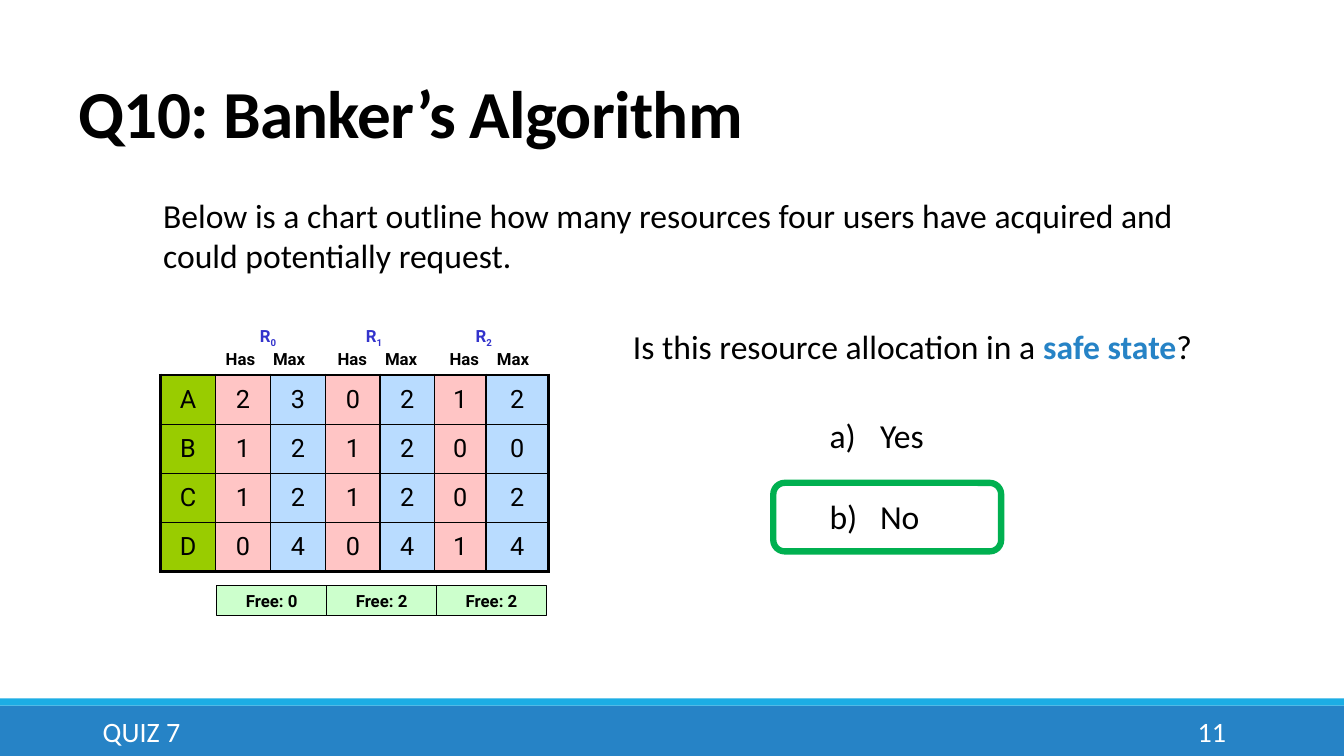
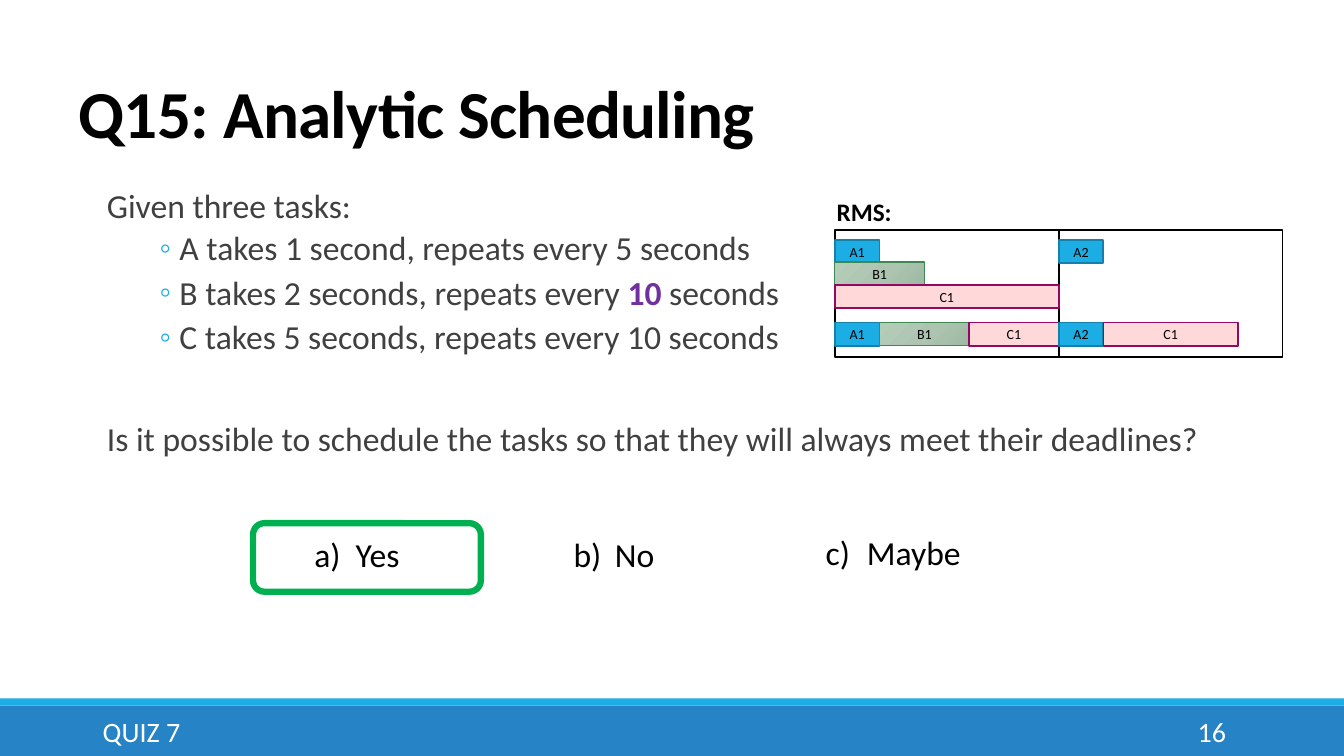
from dataclasses import dataclass

from pptx import Presentation
from pptx.dml.color import RGBColor
from pptx.enum.shapes import MSO_SHAPE
from pptx.enum.text import MSO_ANCHOR, MSO_AUTO_SIZE, PP_ALIGN
from pptx.oxml import parse_xml
from pptx.oxml.ns import nsdecls, qn
from pptx.oxml.xmlchemy import OxmlElement
from pptx.util import Inches, Pt


@dataclass(frozen=True)
class Theme:
    font: str = "Calibri"
    data_font: str = "Roboto"
    black: str = "000000"
    white: str = "FFFFFF"
    body: str = "404040"
    blue: str = "2683C6"
    cyan: str = "1CADE4"
    purple: str = "7030A0"
    answer: str = "00B050"
    resource: str = "3333CC"
    user: str = "99CC00"
    has: str = "FFC5C5"
    max: str = "B9DCFF"
    free: str = "CCFFCC"
    title_size: int = 48
    text_size: int = 24
    footer_size: int = 20
    data_size: int = 18
    label_size: int = 12
    job_size: int = 10


THEME = Theme()

# Task letter: fill (None for the gradient), outline, outline width
TASK_STYLES = {
    "A": (THEME.cyan, "1580A9", 1.25),
    "B": (None, "3E8853", 1),
    "C": ("FFD9D9", "920864", 1.25),
}
TASK_GRADIENT = [(0, "9DBAA3"), (45, "ADC4B1"), (100, "B4CDB9")]

WINDOW = 2.22  # width of one five-second window
SECOND = WINDOW / 5


def rgb(code):
    return RGBColor.from_string(code)


# Text
def write(para, *spans, size=THEME.text_size, color=THEME.black,
          font=THEME.font, bold=False, align=None):
    """Fill a paragraph; a span is text, or text with its own colour in bold."""
    para.font.name, para.font.size, para.font.bold = font, Pt(size), bold
    para.font.color.rgb = rgb(color)
    if align is not None:
        para.alignment = align
    for span in spans:
        run = para.add_run()
        if isinstance(span, str):
            run.text = span
        else:
            run.text, accent = span
            run.font.bold = True
            run.font.color.rgb = rgb(accent)


def add_text(page, left, top, width, height, *spans,
             anchor=MSO_ANCHOR.TOP, **style):
    box = page.shapes.add_textbox(
        Inches(left), Inches(top), Inches(width), Inches(height))
    frame = box.text_frame
    frame.word_wrap, frame.vertical_anchor = True, anchor
    if spans:
        write(frame.paragraphs[0], *spans, **style)
    return box


def set_bullet(para, margin, indent, tag, color=None, **attributes):
    props = para._p.get_or_add_pPr()
    props.set("marL", str(Inches(margin)))
    props.set("indent", str(Inches(indent)))
    if color:
        bullet_color = OxmlElement("a:buClr")
        value = OxmlElement("a:srgbClr")
        value.set("val", color)
        bullet_color.append(value)
        props.append(bullet_color)
    bullet = OxmlElement(tag)
    for name, setting in attributes.items():
        bullet.set(name, setting)
    props.append(bullet)


def add_options(page, left, top, options, start=1, indent=0.5):
    frame = add_text(page, left, top, 1.8, 0.5).text_frame
    for index, option in enumerate(options):
        para = frame.add_paragraph() if index else frame.paragraphs[0]
        set_bullet(para, indent, -indent, "a:buAutoNum",
                   type="alphaLcParenR", startAt=str(start))
        if index:
            para.space_before = Pt(29)
        write(para, option)


# Shapes
def add_box(page, left, top, width, height, fill=None, line=None,
            line_width=1.0, kind=MSO_SHAPE.RECTANGLE):
    box = page.shapes.add_shape(
        kind, Inches(left), Inches(top), Inches(width), Inches(height))
    box.shadow.inherit = False
    if fill:
        box.fill.solid()
        box.fill.fore_color.rgb = rgb(fill)
    else:
        box.fill.background()
    if line:
        box.line.color.rgb = rgb(line)
        box.line.width = Pt(line_width)
    else:
        box.line.fill.background()
    return box


def label_box(box, text, **style):
    frame = box.text_frame
    frame.margin_left = frame.margin_right = 0
    frame.margin_top = frame.margin_bottom = 0
    frame.vertical_anchor = MSO_ANCHOR.MIDDLE
    write(frame.paragraphs[0], text, align=PP_ALIGN.CENTER, **style)


def mark_answer(page, left, top):
    add_box(page, left, top, 2.26, 0.68, line=THEME.answer, line_width=4.5,
            kind=MSO_SHAPE.ROUNDED_RECTANGLE)


def set_radial_fill(box, stops):
    marks = "".join(
        f'<a:gs pos="{place * 1000}"><a:srgbClr val="{color}"/></a:gs>'
        for place, color in stops)
    gradient = parse_xml(
        f'<a:gradFill {nsdecls("a")} rotWithShape="1"><a:gsLst>{marks}</a:gsLst>'
        '<a:path path="circle"><a:fillToRect l="100000" t="100000"/></a:path>'
        '</a:gradFill>')
    props = box.element.spPr
    props.replace(props.find(qn("a:noFill")), gradient)


# Shared page parts
def add_master_bands(deck, page):
    """Draw the bottom bands and hand them to the slide master."""
    bands = [(7, 0.5, THEME.blue), (6.93, 0.07, THEME.cyan)]
    for number, (top, height, fill) in enumerate(bands, start=21):
        band = add_box(page, 0, top, 13.33, height, fill)
        band.element.nvSpPr.cNvPr.set("id", str(number))
        deck.slide_master.shapes.element.append(band.element)


def add_page(deck, layout, title, number):
    page = deck.slides.add_slide(deck.slide_layouts.get_by_name(layout))
    heading = page.shapes.title
    heading.left, heading.top = Inches(0.68), Inches(0.71)
    heading.width, heading.height = Inches(11), Inches(0.85)
    frame = heading.text_frame
    frame.auto_size = MSO_AUTO_SIZE.NONE
    frame.vertical_anchor = MSO_ANCHOR.BOTTOM
    para = frame.paragraphs[0]
    para.line_spacing = 0.85
    write(para, title, size=THEME.title_size, bold=True, align=PP_ALIGN.LEFT)
    para.runs[0]._r.get_or_add_rPr().set("spc", "-50")

    footer = dict(size=THEME.footer_size, color=THEME.white,
                  anchor=MSO_ANCHOR.MIDDLE)
    add_text(page, 0.92, 7.06, 8.39, 0.4, "QUIZ 7", **footer)
    add_text(page, 10.83, 7.06, 1.43, 0.4, str(number),
             align=PP_ALIGN.RIGHT, **footer)
    return page


# Resource table
def set_borders(cell, widths):
    props = cell._tc.get_or_add_tcPr()
    for index, (side, width) in enumerate(widths.items()):
        props.insert(index, parse_xml(
            f'<a:ln{side} {nsdecls("a")} w="{Pt(width)}"><a:solidFill>'
            f'<a:srgbClr val="{THEME.black}"/></a:solidFill></a:ln{side}>'))


def add_resource_table(page, rows):
    widths = [0.55, 0.54, 0.55, 0.54, 0.54, 0.51, 0.62]
    fills = [THEME.user] + [THEME.has, THEME.max] * 3
    table = page.shapes.add_table(
        len(rows), len(widths), Inches(1.59), Inches(3.72),
        Inches(sum(widths)), Inches(1.95)).table
    table.first_row = table.horz_banding = False
    for column, width in zip(table.columns, widths):
        column.width = Inches(width)

    last_row, last_column = len(rows) - 1, len(widths) - 1
    for y, row in enumerate(rows):
        for x, value in enumerate(row):
            cell = table.cell(y, x)
            cell.vertical_anchor = MSO_ANCHOR.MIDDLE
            cell.fill.solid()
            cell.fill.fore_color.rgb = rgb(fills[x])
            write(cell.text_frame.paragraphs[0], value, size=THEME.data_size,
                  font=THEME.data_font, align=PP_ALIGN.CENTER)
            outer = {"L": x == 0, "R": x == last_column,
                     "T": y == 0, "B": y == last_row}
            set_borders(cell, {side: 2.25 if edge else 1
                               for side, edge in outer.items()})


def add_resource_labels(page, free):
    label = dict(size=THEME.label_size, font=THEME.data_font, bold=True)
    for index, (name_left, amount) in enumerate(zip([2.48, 3.53, 4.62], free)):
        has_left = 2.14 + 1.11 * index
        add_text(page, has_left, 3.41, 0.72, 0.3, "Has", **label)
        add_text(page, has_left + 0.47, 3.41, 0.72, 0.3, "Max", **label)
        name = add_text(page, name_left, 3.18, 0.72, 0.3, "R", str(index),
                        color=THEME.resource, **label)
        subscript = name.text_frame.paragraphs[0].runs[1]
        subscript._r.get_or_add_rPr().set("baseline", "-25000")
        box = add_box(page, 2.15 + 1.09 * index, 5.81, 1.09, 0.3,
                      THEME.free, THEME.black)
        label_box(box, f"Free: {amount}", **label)


# Task list and schedule
def add_task_list(page, tasks, question):
    body = page.placeholders[1]
    body.left, body.top = Inches(0.96), Inches(1.83)
    body.width, body.height = Inches(12.37), Inches(4.59)
    frame = body.text_frame
    frame.auto_size = MSO_AUTO_SIZE.NONE
    frame.margin_left = frame.margin_right = 0

    lines = [(0, 0, 2, ["Given three tasks:"])]
    lines += [(3, 2, 4, spans) for spans in tasks]
    lines.append((0, 43, 2, [question]))
    for index, (level, before, after, spans) in enumerate(lines):
        para = frame.add_paragraph() if index else frame.paragraphs[0]
        para.level = level
        if level:
            set_bullet(para, 0.82, -0.2, "a:buChar", THEME.cyan, char="◦")
        else:
            set_bullet(para, 0.1, 0, "a:buNone")
        para.line_spacing = 0.9
        para.space_before, para.space_after = Pt(before), Pt(after)
        write(para, *spans, color=THEME.body)


def add_schedule(page, left, jobs):
    for index in range(2):
        add_box(page, left + WINDOW * index, 2.28, WINDOW, 1.26,
                THEME.white, THEME.black, 1.25)
    for name, top, start, seconds in jobs:
        fill, line, line_width = TASK_STYLES[name[0]]
        job = add_box(page, left + SECOND * start, top, SECOND * seconds, 0.23,
                      fill, line, line_width)
        if fill is None:
            set_radial_fill(job, TASK_GRADIENT)
        label_box(job, name, size=THEME.job_size)
    add_text(page, 8.2, 1.9, 1, 0.4, "RMS:", size=THEME.data_size, bold=True)


# Slides
def build_banker(deck):
    page = add_page(deck, "Title Only", "Q10: Banker’s Algorithm", 11)
    add_master_bands(deck, page)
    add_resource_table(page, ["A230212", "B121200", "C121202", "D040414"])
    add_resource_labels(page, [0, 2, 2])
    add_text(page, 1.52, 1.88, 10.82, 0.91,
             "Below is a chart outline how many resources four users have "
             "acquired and could potentially request.")
    add_text(page, 6.18, 3.18, 6.46, 0.5, "Is this resource allocation in a ",
             ("safe state", THEME.blue), "?")
    mark_answer(page, 7.67, 4.79)
    add_options(page, 8.13, 4.07, ["Yes", "No"])


def build_scheduling(deck):
    page = add_page(deck, "Title and Content", "Q15: Analytic Scheduling", 16)
    add_task_list(page, [
        ["A takes 1 second, repeats every 5 seconds"],
        ["B takes 2 seconds, repeats every ", ("10", THEME.purple), " seconds"],
        ["C takes 5 seconds, repeats every 10 seconds"],
    ], "Is it possible to schedule the tasks so that they will always meet "
       "their deadlines?")
    mark_answer(page, 2.51, 5.19)
    answers = [(3.02, 5.25, "Yes"), (5.59, 5.25, "No"), (8.09, 5.23, "Maybe")]
    for start, (left, top, answer) in enumerate(answers, start=1):
        add_options(page, left, top, [answer], start, indent=0.41)
    # Name, top, start second, duration
    add_schedule(page, 8.28, [
        ("A1", 2.38, 0, 1), ("A2", 2.38, 5, 1),
        ("B1", 2.6, 0, 2), ("C1", 2.83, 0, 5),
        ("A1", 3.2, 0, 1), ("B1", 3.2, 1, 2), ("C1", 3.2, 3, 2),
        ("A2", 3.2, 5, 1), ("C1", 3.2, 6, 3),
    ])


def main():
    deck = Presentation()
    deck.slide_width, deck.slide_height = Inches(13.33), Inches(7.5)
    build_banker(deck)
    build_scheduling(deck)
    deck.save("out.pptx")


if __name__ == "__main__":
    main()
